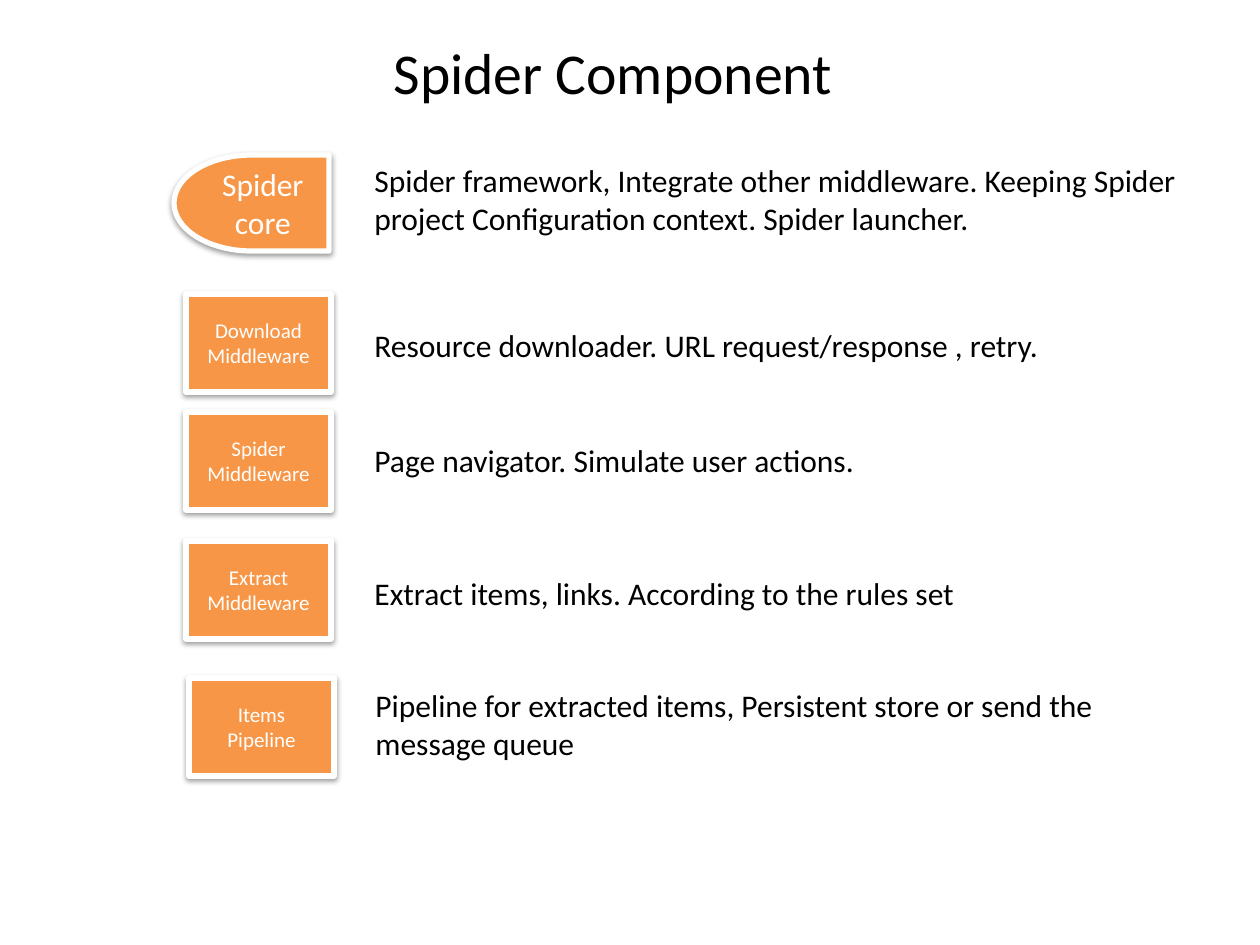
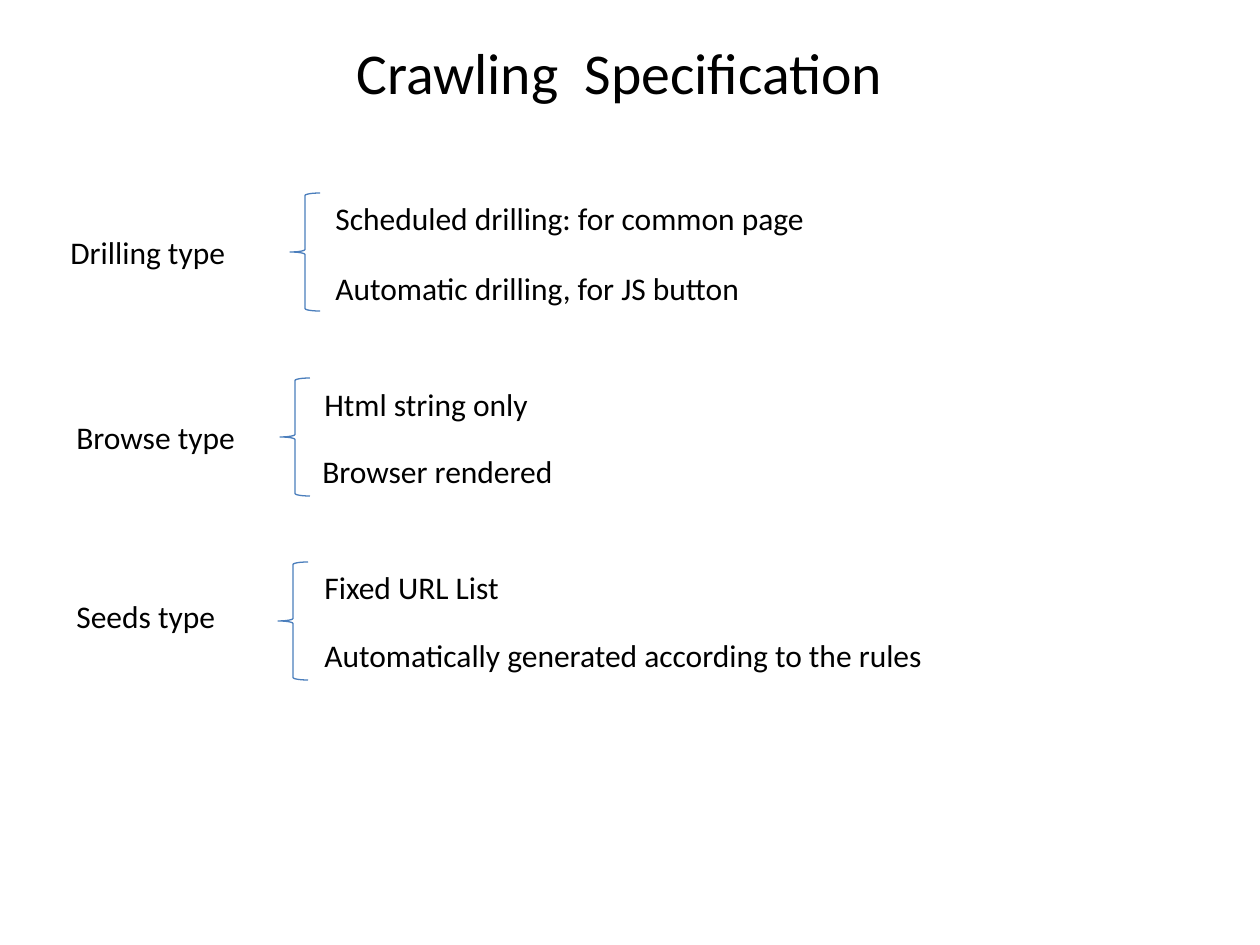
"""Build two slides: the spider components and the crawling specification."""
from lxml import etree
from pptx import Presentation, util as u
from pptx.dml.color import RGBColor
from pptx.enum import shapes, text
from pptx.oxml import ns

BLACK = RGBColor(0x00, 0x00, 0x00)
WHITE = RGBColor(0xFF, 0xFF, 0xFF)
ORANGE = RGBColor(0xF7, 0x96, 0x46)
BLUE = RGBColor(0x4B, 0x7E, 0xBC)
FONT = "Calibri"
TITLE_SIZE, BODY_SIZE, BOX_SIZE = 33, 18, 12
LINE_H = 50

RECT = shapes.MSO_SHAPE.RECTANGLE
DELAY = shapes.MSO_SHAPE.FLOWCHART_DELAY
BRACE = shapes.MSO_SHAPE.LEFT_BRACE
CENTER = text.PP_ALIGN.CENTER
MIDDLE = text.MSO_ANCHOR.MIDDLE

# (preset, label, label size, box, description position, description lines, description)
COMPONENTS = [
    (DELAY, "Spider core", BODY_SIZE, (174, 155, 155, 96), (362, 155), 2,
     "Spider framework, Integrate other middleware. Keeping Spider project "
     "Configuration context. Spider launcher."),
    (RECT, "Download\nMiddleware", BOX_SIZE, (186, 294, 145, 98), (362, 320), 1,
     "Resource downloader. URL request/response , retry."),
    (RECT, "Spider Middleware", BOX_SIZE, (186, 412, 145, 98), (362, 435), 1,
     "Page navigator. Simulate user actions."),
    (RECT, "Extract Middleware", BOX_SIZE, (186, 541, 145, 98), (362, 568), 1,
     "Extract items, links. According to the rules set "),
    (RECT, "Items Pipeline", BOX_SIZE, (189, 678, 145, 98), (363, 680), 2,
     "Pipeline for extracted items, Persistent store or send the message queue"),
]

# (label, label box, brace position, [(option, left, top, width)])
TYPES = [
    ("Drilling type", (58, 227, 236), (290, 193), [
        ("Scheduled drilling: for common page", 323, 193, 833),
        ("Automatic drilling, for JS button", 323, 263, 893)]),
    ("Browse type", (64, 412, 218), (280, 378), [
        ("Html string only", 312, 379, 833),
        ("Browser rendered", 310, 446, 833)]),
    ("Seeds type", (64, 591, 218), (278, 562), [
        ("Fixed URL List", 312, 562, 833),
        ("Automatically generated according to the rules", 312, 630, 833)]),
]


def px(*values):
    return [u.Emu(round(v * 914400 / 126)) for v in values]


def write(sp, content, size, color, align=None, anchor=None):
    tf = sp.text_frame
    tf.text = content
    tf.word_wrap = True
    tf.vertical_anchor = anchor
    for p in tf.paragraphs:
        p.alignment = align
        p.font.name = FONT
        p.font.size = u.Pt(size)
        p.font.color.rgb = color
    return tf


def add_slide(prs, title):
    slide = prs.slides.add_slide(prs.slide_layouts[5])
    sp = slide.shapes.title
    sp.left, sp.top, sp.width, sp.height = px(84, 37, 1071, 69)
    tf = write(sp, title, TITLE_SIZE, BLACK, CENTER, MIDDLE)
    tf.auto_size = text.MSO_AUTO_SIZE.NONE
    return slide


def add_text(slide, content, left, top, width, height=LINE_H):
    sp = slide.shapes.add_textbox(*px(left, top, width, height))
    tf = write(sp, content, BODY_SIZE, BLACK)
    tf.auto_size = text.MSO_AUTO_SIZE.SHAPE_TO_FIT_TEXT


def add_shadow(sp):
    effects = sp._element.spPr.find(ns.qn("a:effectLst"))
    shadow = etree.SubElement(effects, ns.qn("a:outerShdw"), blurRad="40000",
                              dist="20000", dir="5400000", rotWithShape="0")
    color = etree.SubElement(shadow, ns.qn("a:srgbClr"), val=str(BLACK))
    etree.SubElement(color, ns.qn("a:alpha"), val="38000")


def add_box(slide, preset, label, size, box):
    sp = slide.shapes.add_shape(preset, *px(*box))
    sp.fill.solid()
    sp.fill.fore_color.rgb = ORANGE
    sp.line.color.rgb = WHITE
    sp.line.width = u.Pt(3)
    sp.shadow.inherit = False
    add_shadow(sp)
    if preset == DELAY:
        sp._element.spPr.xfrm.set("flipH", "1")
    write(sp, label, size, WHITE, CENTER, MIDDLE)


def add_brace(slide, left, top):
    sp = slide.shapes.add_shape(BRACE, *px(left, top, 30, 118))
    sp.fill.background()
    sp.line.color.rgb = BLUE
    sp.line.width = u.Pt(0.75)
    sp.shadow.inherit = False


prs = Presentation()
prs.slide_width, prs.slide_height = px(1260, 945)

s = add_slide(prs, "Spider Component ")
for preset, label, size, box, place, lines, description in COMPONENTS:
    add_box(s, preset, label, size, box)
    add_text(s, description, *place, 853, LINE_H + 39 * (lines - 1))

s = add_slide(prs, "Crawling  Specification")
for label, label_box, brace, options in TYPES:
    add_text(s, label, *label_box)
    add_brace(s, *brace)
    for option in options:
        add_text(s, *option)

prs.save("out.pptx")
